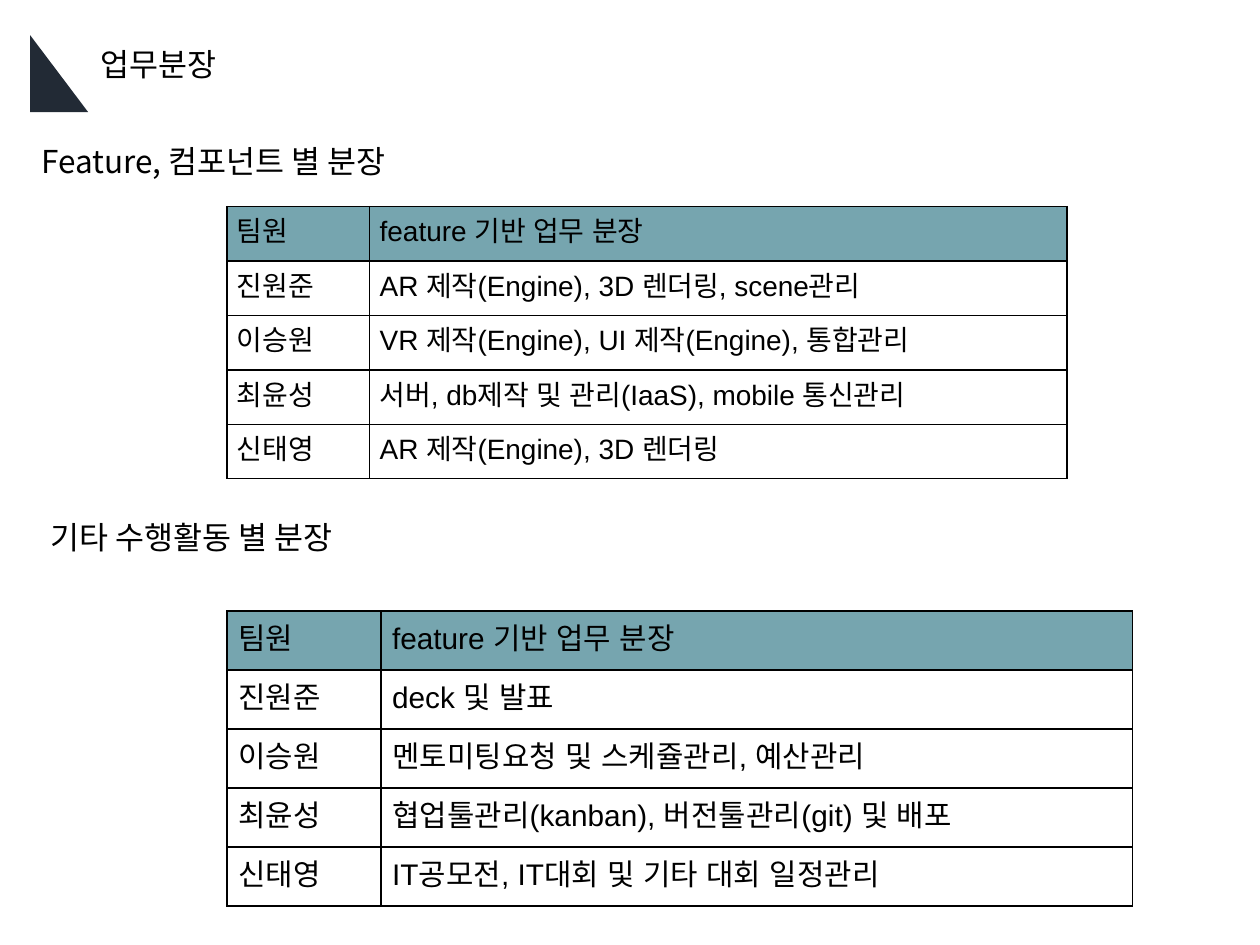
from dataclasses import dataclass

from lxml import etree
from pptx import Presentation
from pptx import util as u
from pptx.dml.color import RGBColor
from pptx.enum import shapes, text
from pptx.oxml.ns import qn


@dataclass(frozen=True)
class Theme:
    ink: str = "000000"
    accent: str = "222A35"
    header: str = "76A5AF"
    heading_font: str = "Noto Sans CJK KR"
    table_font: str = "Arial"
    heading_size: int = 18
    border: int = 1


THEME = Theme()
TABLE_LEFT = 1.8
MEMBERS = ["진원준", "이승원", "최윤성", "신태영"]
FEATURE_WORK = [
    "AR 제작(Engine), 3D 렌더링, scene관리",
    "VR 제작(Engine), UI 제작(Engine), 통합관리",
    "서버, db제작 및 관리(IaaS), mobile 통신관리",
    "AR 제작(Engine), 3D 렌더링",
]
OTHER_WORK = [
    "deck 및 발표",
    "멘토미팅요청 및 스케쥴관리, 예산관리",
    "협업툴관리(kanban), 버전툴관리(git) 및 배포",
    "IT공모전, IT대회 및 기타 대회 일정관리",
]


def inches(*values):
    return [u.Inches(v) for v in values]


def set_attrs(obj, values):
    for name, value in values.items():
        setattr(obj, name, value)


def write(tf, words, font, size):
    p = tf.paragraphs[0]
    p.alignment = text.PP_ALIGN.LEFT
    r = p.add_run()
    r.text = words
    set_attrs(r.font, {"name": font, "size": u.Pt(size)})
    r.font.color.rgb = RGBColor.from_string(THEME.ink)
    # Hangul takes its face from the East Asian font slot
    etree.SubElement(r._r.rPr, qn("a:ea")).set("typeface", font)


def write_heading(sp, words, wrap):
    tf = sp.text_frame
    set_attrs(tf, {
        "word_wrap": wrap,
        "auto_size": text.MSO_AUTO_SIZE.SHAPE_TO_FIT_TEXT,
        "vertical_anchor": text.MSO_ANCHOR.TOP,
    })
    write(tf, words, THEME.heading_font, THEME.heading_size)


def add_title(slide, box, words):
    """Corner triangle at the left of the box, title at its right."""
    left, top, width, height = box
    mark_width = 0.46
    mark = slide.shapes.add_shape(shapes.MSO_SHAPE.RIGHT_TRIANGLE,
                                  *inches(left, top, mark_width, height))
    mark.shadow.inherit = False
    mark.fill.solid()
    mark.fill.fore_color.rgb = RGBColor.from_string(THEME.accent)
    mark.line.fill.background()

    title = slide.shapes.title
    places = inches(left + mark_width, top + 0.03, width - mark_width, 0.4)
    set_attrs(title, dict(zip(("left", "top", "width", "height"), places)))
    write_heading(title, words, wrap=False)


def add_heading(slide, box, words, wrap):
    write_heading(slide.shapes.add_textbox(*inches(*box)), words, wrap)


def add_borders(cell):
    tc_pr = cell._tc.get_or_add_tcPr()
    for i, side in enumerate(("lnL", "lnR", "lnT", "lnB")):
        ln = etree.Element(qn(f"a:{side}"), w=str(u.Pt(THEME.border)))
        fill = etree.SubElement(ln, qn("a:solidFill"))
        etree.SubElement(fill, qn("a:srgbClr")).set("val", THEME.ink)
        tc_pr.insert(i, ln)


def add_work_table(slide, box, work, name_share, size, inset):
    """Members and their work, in even rows under a coloured header."""
    rows = [("팀원", "feature 기반 업무 분장"), *zip(MEMBERS, work)]
    width, height = box[2:]
    table = slide.shapes.add_table(len(rows), 2, *inches(*box)).table
    table.horz_banding = False
    for column, share in zip(table.columns, (name_share, 1 - name_share)):
        column.width = u.Inches(width * share)
    for row in table.rows:
        row.height = u.Inches(height / len(rows))

    margins = {f"margin_{side}": u.Inches(inset)
               for side in ("left", "right", "top", "bottom")}
    for i, row in enumerate(rows):
        for j, words in enumerate(row):
            cell = table.cell(i, j)
            set_attrs(cell, margins)
            if i == 0:
                cell.fill.solid()
                cell.fill.fore_color.rgb = RGBColor.from_string(THEME.header)
            else:
                cell.fill.background()
            add_borders(cell)
            write(cell.text_frame, words, THEME.table_font, size)


def main():
    prs = Presentation()
    prs.slide_width, prs.slide_height = inches(10, 7.5)
    slide = prs.slides.add_slide(prs.slide_layouts[5])

    add_title(slide, (0.24, 0.28, 1.66, 0.61), "업무분장")
    add_heading(slide, (0.23, 1.08, 3.2, 0.4), "Feature, 컴포넌트 별 분장", True)
    add_work_table(slide, (TABLE_LEFT, 1.64, 6.67, 2.16), FEATURE_WORK,
                   name_share=0.17, size=16, inset=0.08)
    add_heading(slide, (0.3, 4.06, 2.74, 0.4), "기타 수행활동 별 분장", False)
    add_work_table(slide, (TABLE_LEFT, 4.85, 7.19, 2.34), OTHER_WORK,
                   name_share=0.17, size=17, inset=0.09)
    prs.save("out.pptx")


if __name__ == "__main__":
    main()
